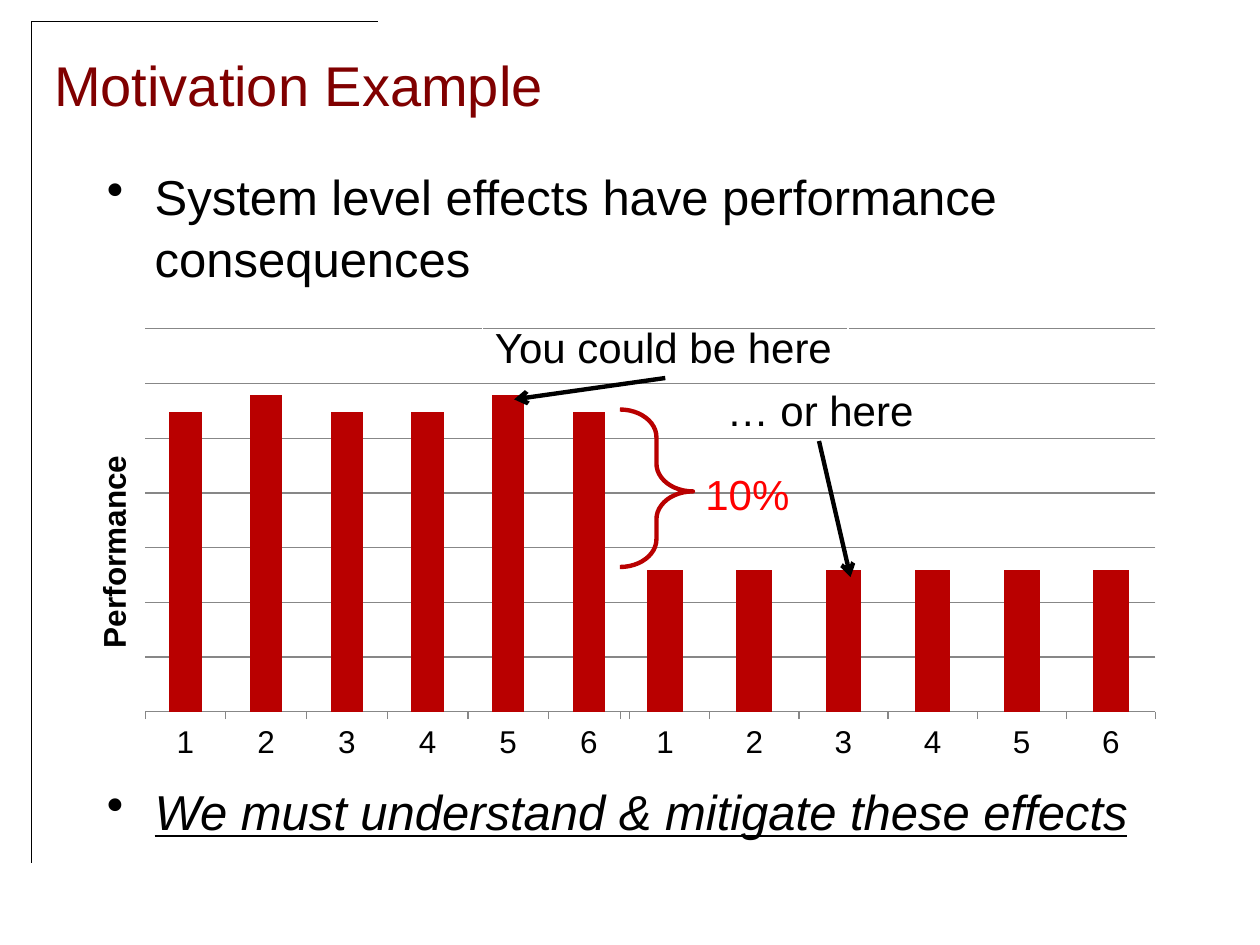
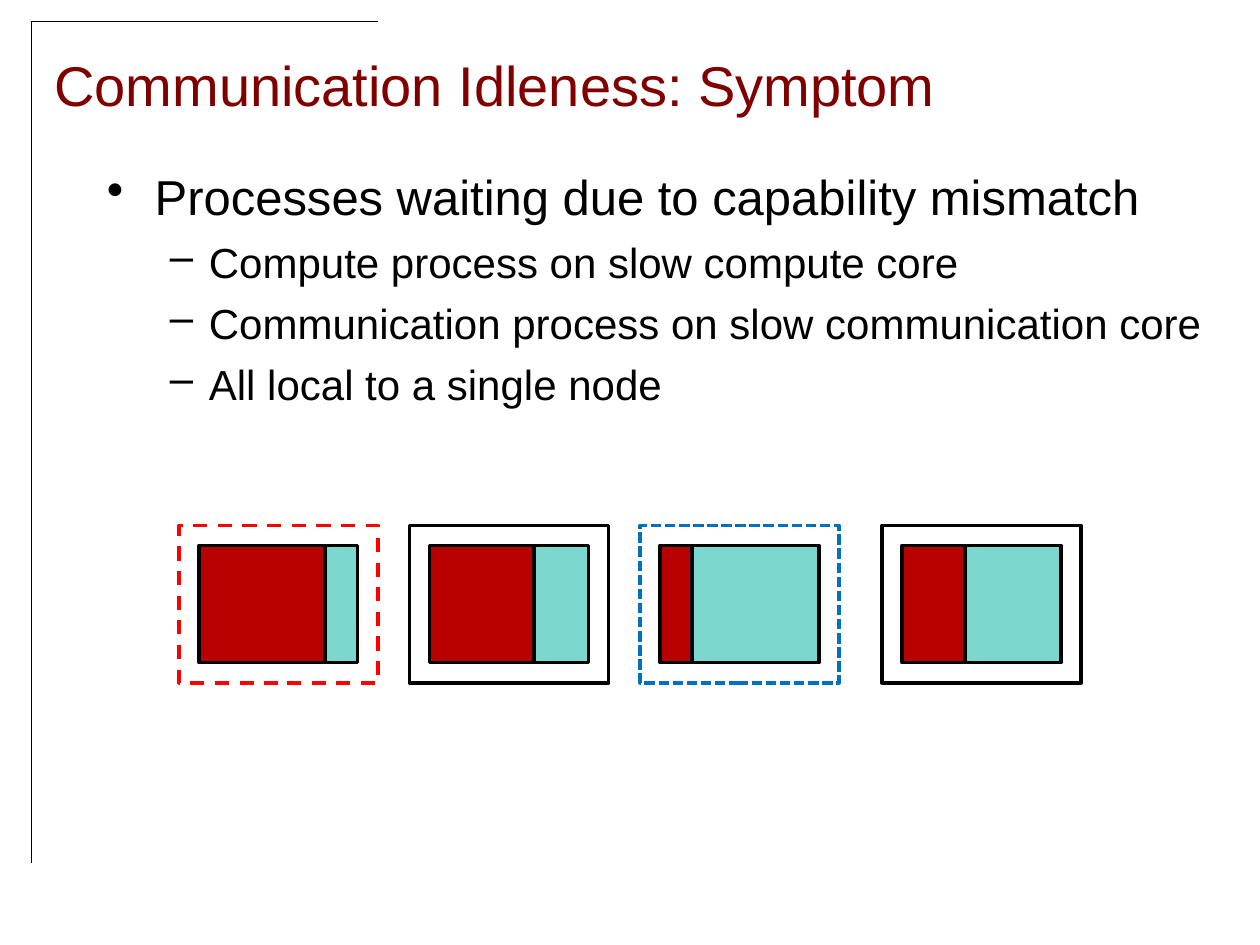
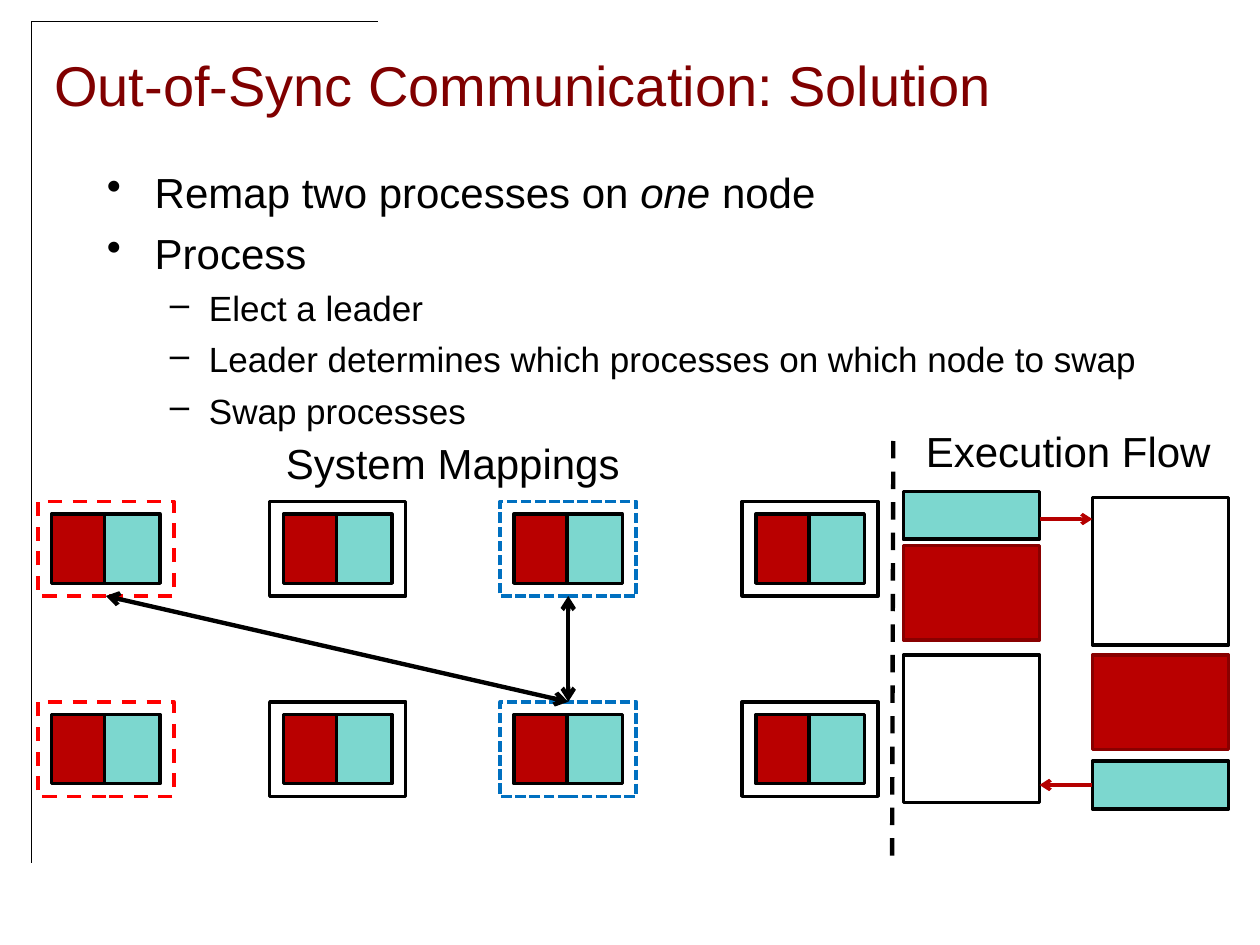
from lxml import etree
from pptx import Presentation
from pptx import util as u
from pptx.chart.data import CategoryChartData
from pptx.dml.color import RGBColor
from pptx.enum import chart as ch, dml, shapes, text
from pptx.oxml import ns

INK = {
    "black": "000000", "white": "FFFFFF", "title": "800000", "red": "FF0000",
    "blue": "0070C0", "brick": "B90000", "rust": "890000", "arrow": "B50000",
    "teal": "7CD7CF", "grid": "878787",
}
DASH = dml.MSO_LINE.DASH
DOTS = dml.MSO_LINE.SQUARE_DOT
# Marker, left margin and hanging indent of each bullet level
LEVELS = [("•", 0.38, 0.38), ("–", 0.81, 0.31)]
FRAME = [(0.25, 0.17, 0.25, 0.75), (0.25, 0.17, 3, 0.17), (0.25, 0.75, 0.25, 6.85)]
NODES = [("red", DASH), ("black", None), ("blue", DOTS), ("black", None)]


def rgb(name):
    return RGBColor.from_string(INK[name])


def inch(*vals):
    return [u.Inches(v) for v in vals]


def apply(obj, **vals):
    for key, val in vals.items():
        setattr(obj, key, val)


def lay(node, index, target, **vals):
    """Give a chart part a manual layout, in fractions of the chart."""
    old = node.find(ns.qn("c:layout"))
    if old is not None:
        node.remove(old)
    layout = etree.Element(ns.qn("c:layout"))
    manual = etree.SubElement(layout, ns.qn("c:manualLayout"))
    parts = {"layoutTarget": target} if target else {}
    parts.update(xMode="edge", yMode="edge", **vals)
    for key, val in parts.items():
        etree.SubElement(manual, ns.qn("c:" + key)).set("val", str(val))
    node.insert(index, layout)


class Deck:
    font = "Arial"

    def __init__(self):
        self.prs = Presentation()
        apply(self.prs, slide_width=u.Inches(10), slide_height=u.Inches(7.5))

    def slide(self, title):
        page = self.prs.slides.add_slide(self.prs.slide_layouts[5])
        self.items = page.shapes
        for ends in FRAME:
            self.line(*ends, width=0.25)
        head = page.shapes.title
        self.place(head, 0.33, 0.25, 9.58, 0.83)
        apply(head.text_frame, vertical_anchor=text.MSO_ANCHOR.MIDDLE, word_wrap=True)
        par = head.text_frame.paragraphs[0]
        par.alignment = text.PP_ALIGN.LEFT
        self.run(par, title, 32, "title")

    def place(self, shape, *box):
        apply(shape, **dict(zip(("left", "top", "width", "height"), inch(*box))))

    def style(self, font, size, color="black", **more):
        apply(font, name=self.font, size=u.Pt(size), **more)
        font.color.rgb = rgb(color)

    def run(self, par, words, size, color="black", **more):
        run = par.add_run()
        run.text = words
        self.style(run.font, size, color, **more)

    def label(self, words, *box, color="black", edge=None):
        item = self.items.add_textbox(*inch(*box))
        apply(item.text_frame, word_wrap=False, auto_size=text.MSO_AUTO_SIZE.SHAPE_TO_FIT_TEXT)
        self.run(item.text_frame.paragraphs[0], words, 24, color)
        if edge:
            item.line.color.rgb = rgb(edge)
            item.line.width = u.Pt(0.75)

    def body(self, box, rows):
        """Add bullets; a row is level, size, runs and, if unusual, the space before."""
        frame = self.items.add_textbox(*inch(*box)).text_frame
        frame.word_wrap = True
        for i, (level, size, runs, *gap) in enumerate(rows):
            par = frame.add_paragraph() if i else frame.paragraphs[0]
            apply(par, level=level, line_spacing=1.05)
            if i:
                par.space_before = u.Pt(gap[0] if gap else size * 0.2)
            mark, left, hang = LEVELS[level]
            props = par._p.get_or_add_pPr()
            props.set("marL", str(u.Inches(left)))
            props.set("indent", str(-u.Inches(hang)))
            etree.SubElement(props, ns.qn("a:buChar")).set("char", mark)
            for words, more in runs:
                self.run(par, words, size, **more)

    def shape(self, kind, *box, fill=None, edge="black", width=2, dash=None):
        item = self.items.add_shape(kind, *inch(*box))
        item.shadow.inherit = False
        if fill:
            item.fill.solid()
            item.fill.fore_color.rgb = rgb(fill)
        else:
            item.fill.background()
        item.line.color.rgb = rgb(edge)
        apply(item.line, width=u.Pt(width), dash_style=dash)
        return item

    def rect(self, *box, **look):
        return self.shape(shapes.MSO_SHAPE.RECTANGLE, *box, **look)

    def line(self, *ends, color="black", width=2.5, dash=None, heads=()):
        item = self.items.add_connector(shapes.MSO_CONNECTOR.STRAIGHT, *inch(*ends))
        item.line.color.rgb = rgb(color)
        apply(item.line, width=u.Pt(width), dash_style=dash)
        for end in heads:
            etree.SubElement(item.line._get_or_add_ln(), ns.qn("a:" + end)).set("type", "arrow")
        etree.SubElement(item._element.spPr, ns.qn("a:effectLst"))

    def node(self, left, top, size, inset, split, edge, dash):
        """Draw a node frame around its compute and communication shares."""
        (wide, high), (dx, dy) = size, inset
        self.rect(left, top, wide, high, edge=edge, dash=dash)
        tall = high - 2 * dy
        self.rect(left + dx, top + dy, split, tall, fill="brick")
        self.rect(left + dx + split, top + dy, wide - 2 * dx - split, tall, fill="teal")

    def chart(self, box, vals, low, high, plot, title=None):
        data = CategoryChartData()
        data.categories = [str(i + 1) for i in range(len(vals))]
        data.add_series("Series 1", vals)
        kind = ch.XL_CHART_TYPE.COLUMN_CLUSTERED
        chart = self.items.add_chart(kind, *inch(*box), data).chart
        apply(chart, has_legend=False, has_title=False)
        self.style(chart.font, 18)
        bars = chart.plots[0]
        apply(bars, gap_width=150, vary_by_categories=False)
        fill = bars.series[0].format.fill
        fill.solid()
        fill.fore_color.rgb = rgb("brick")
        cat, val = chart.category_axis, chart.value_axis
        apply(cat, major_tick_mark=ch.XL_TICK_MARK.OUTSIDE, has_major_gridlines=False)
        apply(val, minimum_scale=low, maximum_scale=high, major_unit=(high - low) / 7,
              has_major_gridlines=True, visible=False)
        for part in (cat, val.major_gridlines):
            part.format.line.color.rgb = rgb("grid")
            part.format.line.width = u.Pt(0.75)
        area = chart._chartSpace.find(".//" + ns.qn("c:plotArea"))
        lay(area, 0, "inner", **dict(zip("xywh", plot)))
        if title:
            frame = val.axis_title.text_frame
            self.run(frame.paragraphs[0], title, 18, bold=True)
            frame._txBody.bodyPr.set("rot", "-5400000")
            frame._txBody.bodyPr.set("vert", "horz")
            lay(val.axis_title._element, 1, None, x=0.06, y=0.31)


def motivation(deck):
    deck.slide("Motivation Example")
    deck.body((0.75, 1.25, 8.5, 5.67), [
        (0, 28, [("System level effects have performance consequences", {})]),
        (0, 28, [("We must understand & mitigate these effects",
                  {"italic": True, "underline": True})], 281),
    ])
    deck.chart((0.42, 2.33, 4.58, 4), [99, 100, 99, 99, 100, 99], 81, 104,
               (0.16, 0.07, 0.84, 0.76), "Performance")
    deck.chart((4.92, 2.33, 5, 4), [100] * 6, 90, 117, (0, 0.07, 0.85, 0.76))
    deck.label("… or here", 5.67, 3, 1.7, 0.51)
    deck.line(6.5, 3.5, 6.75, 4.58, heads=["tailEnd"])
    deck.label("You could be here", 3.83, 2.5, 2.9, 0.5, edge="white")
    deck.line(5.28, 3, 4.08, 3.17, heads=["tailEnd"])
    brace = deck.shape(shapes.MSO_SHAPE.RIGHT_BRACE, 4.92, 3.25, 0.58, 1.25,
                       edge="brick", width=2.5)
    brace.adjustments[0], brace.adjustments[1] = 0.38, 0.52
    deck.label("10%", 5.5, 3.67, 0.88, 0.5, color="red")


def symptom(deck):
    deck.slide("Communication Idleness: Symptom")
    points = ["Compute process on slow compute core",
              "Communication process on slow communication core",
              "All local to a single node"]
    deck.body((0.75, 1.25, 9, 5.67),
              [(0, 28, [("Processes waiting due to capability mismatch", {})])]
              + [(1, 24, [(point, {})]) for point in points])
    lefts, splits = (1.42, 3.25, 5.08, 7), (1, 0.83, 0.25, 0.5)
    for left, split, look in zip(lefts, splits, NODES):
        deck.node(left, 4.17, (1.58, 1.25), (0.16, 0.16), split, *look)


def solution(deck):
    deck.slide("Out-of-Sync Communication: Solution")
    steps = ["Elect a leader",
             "Leader determines which processes on which node to swap",
             "Swap processes"]
    deck.body((0.75, 1.25, 8.5, 2.17), [
        (0, 24, [("Remap two processes on ", {}), ("one", {"italic": True}), (" node", {})]),
        (0, 24, [("Process", {})]),
    ] + [(1, 20, [(step, {})]) for step in steps])

    for top in (3.98, 5.57):
        for left, look in zip((0.3, 2.14, 3.97, 5.89), NODES):
            deck.node(left, top, (1.08, 0.75), (0.11, 0.1), 0.42, *look)

    flow = [
        (7.17, 3.9, 0.38, "teal", "black"), (8.67, 3.95, 1.17, None, "black"),
        (7.17, 4.33, 0.75, "brick", "rust"), (8.67, 6.04, 0.38, "teal", "black"),
        (7.17, 5.2, 1.17, None, "black"), (8.67, 5.2, 0.75, "brick", "rust"),
    ]
    for left, top, high, fill, edge in flow:
        deck.rect(left, top, 1.08, high, fill=fill, edge=edge)
    for start, end, y in ((8.25, 8.67, 4.12), (8.67, 8.25, 6.23)):
        deck.line(start, y, end, y, color="arrow", width=2, heads=["tailEnd"])
    for start in (0.84, 4.51):
        deck.line(start, 4.73, 4.51, 5.57, heads=["headEnd", "tailEnd"])

    deck.label("Execution Flow", 7.25, 3.33, 2.49, 0.51)
    deck.label("System Mappings", 2.17, 3.42, 2.88, 0.51)
    deck.line(7.09, 3.5, 7.08, 6.84, dash=DASH)


def main():
    deck = Deck()
    for build in (motivation, symptom, solution):
        build(deck)
    deck.prs.save("out.pptx")


if __name__ == "__main__":
    main()
